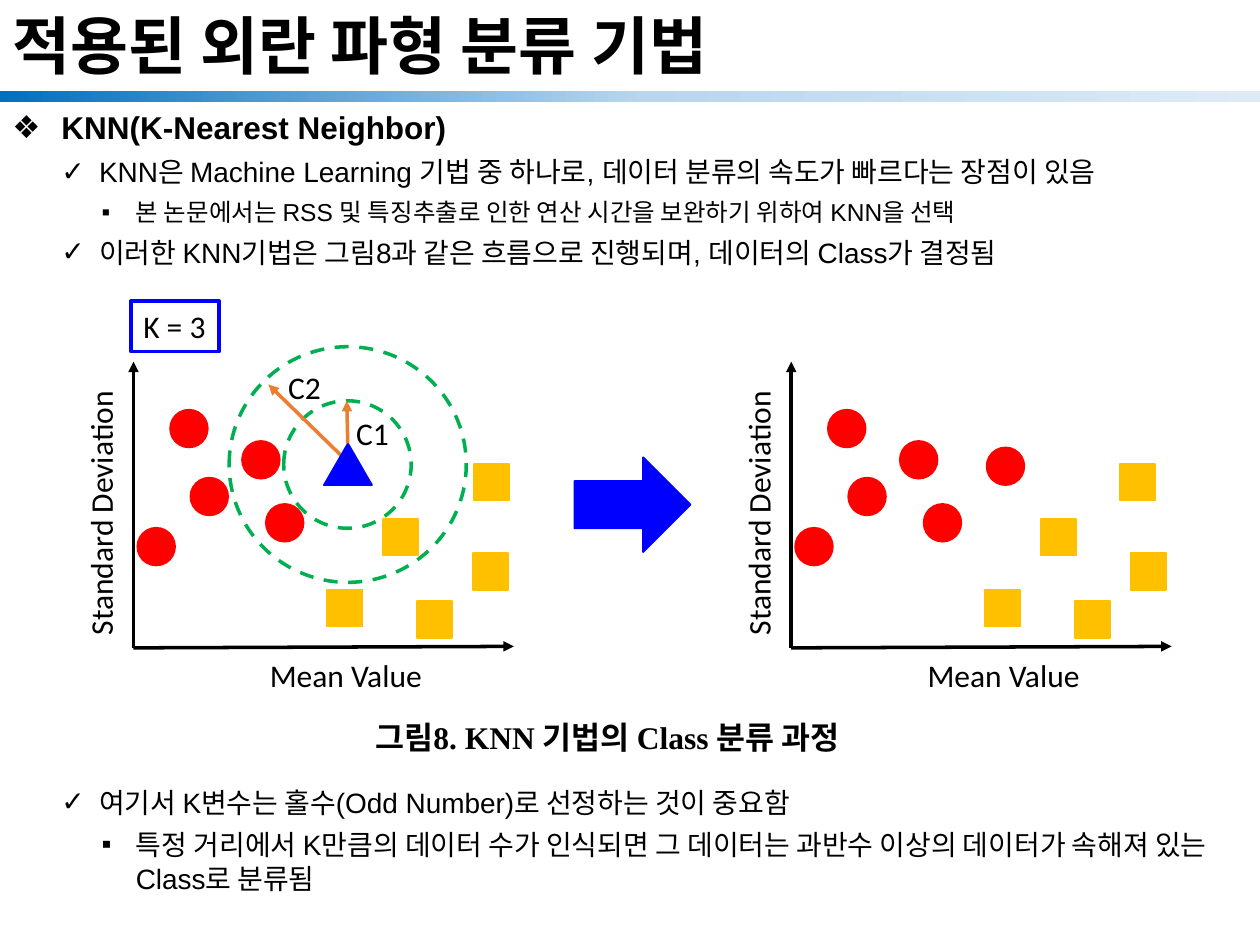
from copy import deepcopy

from lxml.etree import SubElement
from pptx import Presentation
from pptx.dml.color import RGBColor
from pptx.enum.dml import MSO_LINE
from pptx.enum.shapes import MSO_CONNECTOR, MSO_SHAPE
from pptx.enum.text import MSO_ANCHOR, MSO_AUTO_SIZE, PP_ALIGN
from pptx.oxml.ns import qn
from pptx.util import Cm, Pt

BLACK = RGBColor(0x00, 0x00, 0x00)
BLUE = RGBColor(0x00, 0x00, 0xFF)
RED = RGBColor(0xFF, 0x00, 0x00)
YELLOW = RGBColor(0xFF, 0xC0, 0x00)
GREEN = RGBColor(0x00, 0xB0, 0x50)
ORANGE = RGBColor(0xED, 0x7D, 0x31)
BAR_STOPS = [
    (0, RGBColor(0x00, 0x70, 0xC0)),
    (0.51, RGBColor(0xB8, 0xD6, 0xEE)),
    (1, RGBColor(0xDE, 0xEB, 0xF7)),
]

# Outline levels: bullet, left margin (cm), hanging indent (cm)
LEVELS = [("❖", 0.99, 0.99), ("✓", 1.75, 0.76), ("▪", 2.49, 0.69)]
# Level, size, space before (pt), text; the long space leaves room for the figure
OUTLINE = [
    (0, 18, 10, "KNN(K-Nearest Neighbor) "),
    (1, 16, 5, "KNN은 Machine Learning 기법 중 하나로, 데이터 분류의 속도가 빠르다는 장점이 있음"),
    (2, 14, 5, "본 논문에서는 RSS 및 특징추출로 인한 연산 시간을 보완하기 위하여 KNN을 선택"),
    (1, 16, 5, "이러한 KNN기법은 그림8과 같은 흐름으로 진행되며, 데이터의 Class가 결정됨"),
    (1, 16, 295, "여기서 K변수는 홀수(Odd Number)로 선정하는 것이 중요함"),
    (2, 16, 5, "특정 거리에서 K만큼의 데이터 수가 인식되면 그 데이터는 과반수 이상의 "
               "데이터가 속해져 있는 Class로 분류됨"),
]

# Points shared by both plots: distance from the vertical axis, top (cm)
CIRCLES = [(0.74, 8.26), (0.08, 10.64), (2.19, 8.89), (1.15, 9.63), (2.67, 10.16)]
SQUARES = [(5.03, 10.46), (3.91, 11.89), (5.72, 12.12), (6.84, 11.15)]


def add_run(p, text, size, font, bold=False):
    r = p.add_run()
    r.text = text
    r.font.size = Pt(size)
    r.font.name = font
    r.font.bold = bold
    r.font.color.rgb = BLACK


def add_label(s, text, x, y, w, font="Calibri", bold=False, rotation=0):
    """One-line 18 pt text that does not wrap."""
    box = s.shapes.add_textbox(Cm(x), Cm(y), Cm(w), Cm(1.02))
    box.rotation = rotation
    tf = box.text_frame
    tf.word_wrap = False
    tf.auto_size = MSO_AUTO_SIZE.SHAPE_TO_FIT_TEXT
    add_run(tf.paragraphs[0], text, 18, font, bold)
    return box


def add_solid(s, kind, x, y, w, h, color):
    sp = s.shapes.add_shape(kind, Cm(x), Cm(y), Cm(w), Cm(h))
    sp.shadow.inherit = False
    sp.fill.solid()
    sp.fill.fore_color.rgb = color
    sp.line.color.rgb = color
    sp.line.width = Pt(1)


def add_dashed_circle(s, x, y, w, h):
    sp = s.shapes.add_shape(MSO_SHAPE.OVAL, Cm(x), Cm(y), Cm(w), Cm(h))
    sp.shadow.inherit = False
    sp.fill.background()
    sp.line.color.rgb = GREEN
    sp.line.width = Pt(2)
    sp.line.dash_style = MSO_LINE.DASH


def add_arrow(s, start, end, color):
    x1, y1, x2, y2 = (Cm(v) for v in (*start, *end))
    cn = s.shapes.add_connector(MSO_CONNECTOR.STRAIGHT, x1, y1, x2, y2)
    cn.line.color.rgb = color
    cn.line.width = Pt(2)
    SubElement(cn.line._get_or_add_ln(), qn("a:tailEnd"), type="triangle")
    SubElement(cn._element.spPr, qn("a:effectLst"))


def add_header(s):
    # Gradient bar
    bar = s.shapes.add_shape(MSO_SHAPE.RECTANGLE, 0, Cm(1.83), Cm(25.4), Cm(0.23))
    bar.shadow.inherit = False
    bar.line.fill.background()
    bar.fill.gradient()
    bar.fill.gradient_angle = 0
    stop_list = bar._element.spPr.find(".//" + qn("a:gsLst"))
    stop_list.insert(1, deepcopy(stop_list[0]))
    for stop, (position, color) in zip(bar.fill.gradient_stops, BAR_STOPS):
        stop.position = position
        stop.color.rgb = color

    # Title
    tf = s.shapes.add_textbox(0, Cm(0.15), Cm(25.4), Cm(1.68)).text_frame
    tf.word_wrap = True
    tf.vertical_anchor = MSO_ANCHOR.MIDDLE
    tf.paragraphs[0].line_spacing = 0.9
    add_run(tf.paragraphs[0], "적용된 외란 파형 분류 기법", 36, "Arial", True)


def add_outline(s):
    tf = s.shapes.add_textbox(0, Cm(2.06), Cm(24.59), Cm(16.99)).text_frame
    tf.word_wrap = True
    for i, (level, size, before, text) in enumerate(OUTLINE):
        p = tf.add_paragraph() if i else tf.paragraphs[0]
        p.level = level
        p.alignment = PP_ALIGN.JUSTIFY
        p.space_before = Pt(before)
        bullet, margin, hanging = LEVELS[level]
        pPr = p._p.get_or_add_pPr()
        pPr.set("marL", str(Cm(margin)))
        pPr.set("indent", str(-Cm(hanging)))
        SubElement(pPr, qn("a:buFont"), typeface="Arial")
        SubElement(pPr, qn("a:buChar"), char=bullet)
        add_run(p, text, size, "Arial", level == 0)


def add_plot(s, x0, circles, squares):
    """Scatter plot whose vertical axis stands at x0."""
    add_arrow(s, (x0, 13.06), (x0, 7.29), BLACK)
    add_arrow(s, (x0, 13.06), (x0 + 7.67, 13.03), BLACK)
    for x, y in circles:
        add_solid(s, MSO_SHAPE.OVAL, x0 + x, y, 0.76, 0.76, RED)
    for x, y in squares:
        add_solid(s, MSO_SHAPE.RECTANGLE, x0 + x, y, 0.71, 0.74, YELLOW)
    add_label(s, "Standard Deviation", x0 - 3.41, 9.8, 5.49, rotation=270)
    add_label(s, "Mean Value", x0 + 2.5, 13.11, 3.61)


def add_neighbourhood(s):
    """New point with its two search radii."""
    add_dashed_circle(s, 5.72, 8.08, 2.57, 2.57)
    add_arrow(s, (7.49, 9.78), (5.41, 7.75), ORANGE)
    add_solid(s, MSO_SHAPE.ISOSCELES_TRIANGLE, 6.53, 8.94, 0.97, 0.84, BLUE)
    add_dashed_circle(s, 4.62, 6.99, 4.78, 4.75)
    add_arrow(s, (7.01, 8.94), (6.99, 8.08), ORANGE)
    add_label(s, "C1", 6.93, 8.23, 1.17)
    add_label(s, "C2", 5.56, 7.29, 1.17)
    k_box = add_label(s, "K = 3", 2.64, 6.07, 1.78)
    k_box.line.color.rgb = BLUE
    k_box.line.width = Pt(2)


def main():
    prs = Presentation()
    prs.slide_width, prs.slide_height = Cm(25.4), Cm(19.05)
    s = prs.slides.add_slide(prs.slide_layouts[6])

    add_header(s)
    add_outline(s)

    # Before and after classification
    add_plot(s, 2.69, CIRCLES, [(6.86, 9.35)] + SQUARES)
    add_neighbourhood(s)
    add_solid(s, MSO_SHAPE.RIGHT_ARROW, 11.58, 9.22, 2.34, 1.91, BLUE)
    add_plot(s, 15.95, CIRCLES + [(3.94, 9.02)], [(6.63, 9.35)] + SQUARES)

    # Caption
    caption = add_label(s, "그림8. KNN 기법의 Class 분류 과정", 7.32, 14.35, 10.77,
                        "Times New Roman", True)
    caption.text_frame.paragraphs[0].alignment = PP_ALIGN.JUSTIFY

    prs.save("out.pptx")


if __name__ == "__main__":
    main()
